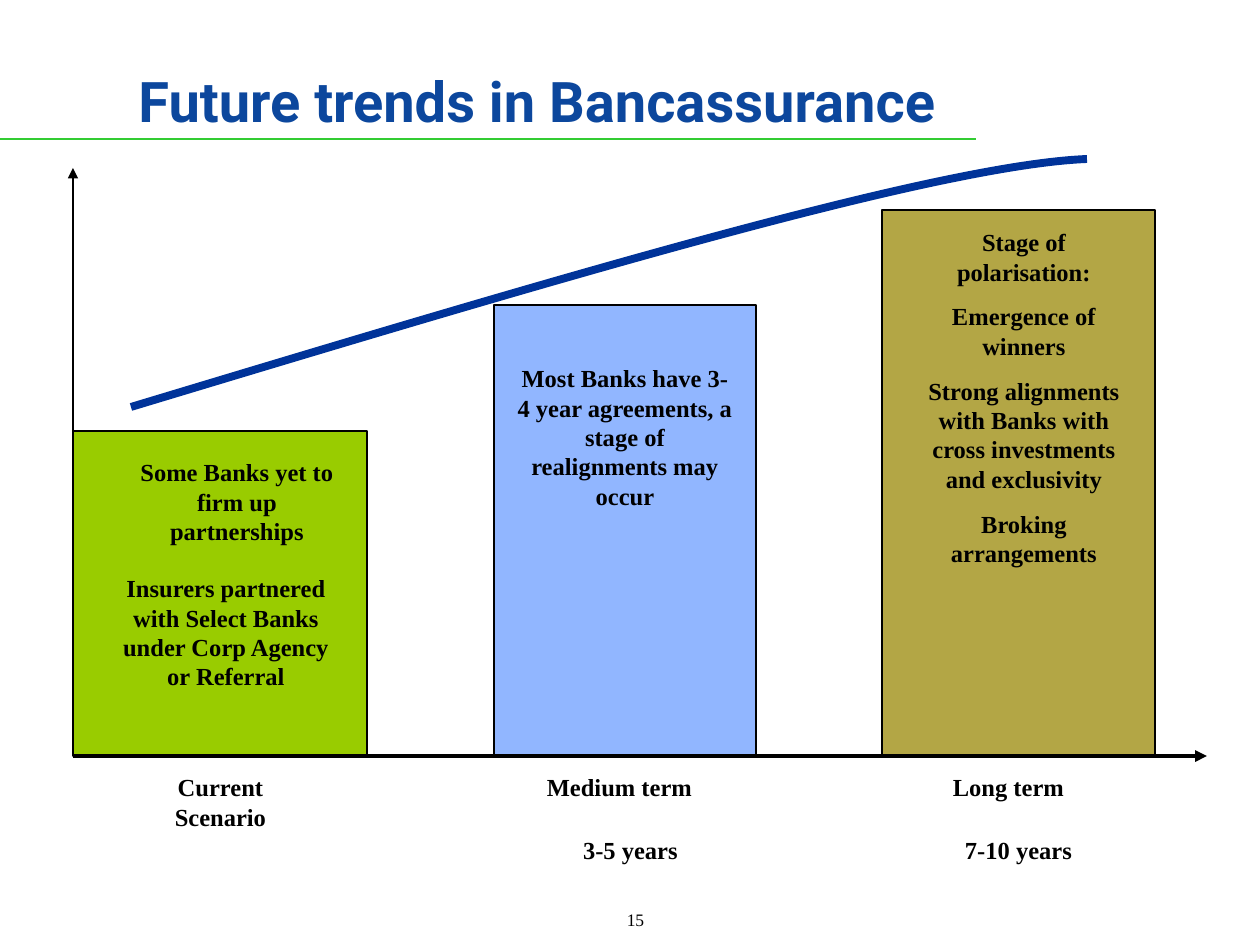
from pptx import Presentation
from pptx.dml.color import RGBColor
from pptx.enum.shapes import MSO_CONNECTOR as CONN, MSO_SHAPE as SHAPE
from pptx.enum.text import MSO_ANCHOR as ANCHOR, MSO_AUTO_SIZE as FIT, PP_ALIGN as ALIGN
from pptx.oxml.ns import qn
from pptx.util import Emu, Pt
from lxml.etree import SubElement

SCALE = 914400 / 126
SERIF = "Times New Roman"
COLUMNS = [
    ((73, 431, 294, 325), "99CC00",
     [((43, 20, 242, 101), ["Some Banks yet to firm up partnerships"]),
      ((32, 136, 242, 131), ["Insurers partnered with Select Banks under Corp Agency or Referral"])],
     [((53, 10, 189, 72), "Current Scenario")]),
    ((494, 305, 262, 451), "91B6FF",
     [((10, 52, 242, 160),
       ["Most Banks have 3-4 year agreements, a stage of realignments may occur"])],
     [((31, 10, 189, 43), "Medium term"), ((42, 73, 189, 43), "3-5 years")]),
    ((882, 210, 273, 546), "B3A645",
     [((21, 11, 242, 353),
       ["Stage of polarisation:", "Emergence of winners",
        "Strong alignments with Banks with cross investments and exclusivity",
        "Broking arrangements"])],
     [((32, 10, 189, 43), "Long term"), ((42, 73, 189, 43), "7-10 years")]),
]


def px(n):
    return Emu(round(n * SCALE))


def color(value):
    return RGBColor.from_string(value)


def add_text(s, box, paragraphs, size=14, font=SERIF, fill="000000", bold=True,
             align=ALIGN.CENTER, anchor=ANCHOR.TOP, fit=FIT.SHAPE_TO_FIT_TEXT):
    tf = s.shapes.add_textbox(*map(px, box)).text_frame
    tf.word_wrap = True
    tf.auto_size = fit
    tf.vertical_anchor = anchor
    for i, text in enumerate(paragraphs):
        p = tf.add_paragraph() if i else tf.paragraphs[0]
        p.alignment = align
        if i:
            p.space_before = Pt(8.8)
        r = p.add_run()
        r.text = text
        r.font.name = font
        r.font.size = Pt(size)
        r.font.bold = bold
        r.font.color.rgb = color(fill)


def add_line(s, start, end, fill, width, arrow=False):
    line = s.shapes.add_connector(CONN.STRAIGHT, *map(px, start + end))
    line.line.color.rgb = color(fill)
    line.line.width = Pt(width)
    if arrow:
        SubElement(line.line._get_or_add_ln(), qn("a:tailEnd"), type="triangle")
    SubElement(line._element.spPr, qn("a:effectLst"))


def add_title(s, box):
    x, y, w, h = box
    add_line(s, (0, 139), (976, 139), "33CC33", 1)
    add_text(s, (x, y, w, h), ["Future trends in Bancassurance"], 32, "Roboto", "0C479D",
             align=ALIGN.LEFT, anchor=ANCHOR.MIDDLE, fit=FIT.NONE)


def add_column(s, box, fill, notes, labels):
    x, y, w, h = box
    sp = s.shapes.add_shape(SHAPE.RECTANGLE, *map(px, box))
    sp.shadow.inherit = False
    sp.fill.solid()
    sp.fill.fore_color.rgb = color(fill)
    sp.line.color.rgb = color("000000")
    sp.line.width = Pt(0.75)
    for (dx, dy, nw, nh), paragraphs in notes:
        add_text(s, (x + dx, y + dy, nw, nh), paragraphs)
    for (dx, dy, lw, lh), text in labels:
        add_text(s, (x + dx, y + h + dy, lw, lh), [text])


def add_axes(s, box):
    x, y, w, h = box
    add_line(s, (x, y + h), (x + w, y + h), "000000", 2.25, True)
    add_line(s, (x, y + h), (x, y), "000000", 0.75, True)


def add_trend(s, box):
    x, y, w, h = box
    points = [(x + 401, y + 127), (x + 803, y + 6), (x + w, y)]
    builder = s.shapes.build_freeform(x, y + h, scale=SCALE)
    builder.add_line_segments(points, close=False)
    sp = builder.convert_to_shape()
    sp.shadow.inherit = False
    sp.fill.background()
    sp.line.color.rgb = color("003399")
    sp.line.width = Pt(4.5)
    path = next(sp._element.iter(qn("a:path")))
    curve = SubElement(path, qn("a:cubicBezTo"))
    for segment in path.findall(qn("a:lnTo")):
        curve.append(segment[0])
        path.remove(segment)


def main():
    prs = Presentation()
    prs.slide_width, prs.slide_height = px(1260), px(945)
    s = prs.slides.add_slide(prs.slide_layouts[6])
    add_title(s, (126, 21, 914, 158))
    for column in COLUMNS:
        add_column(s, *column)
    add_trend(s, (131, 159, 956, 248))
    add_axes(s, (73, 168, 1134, 588))
    add_text(s, (525, 903, 221, 42), ["15"], 10, bold=False, fit=FIT.NONE)
    prs.save("out.pptx")


if __name__ == "__main__":
    main()
